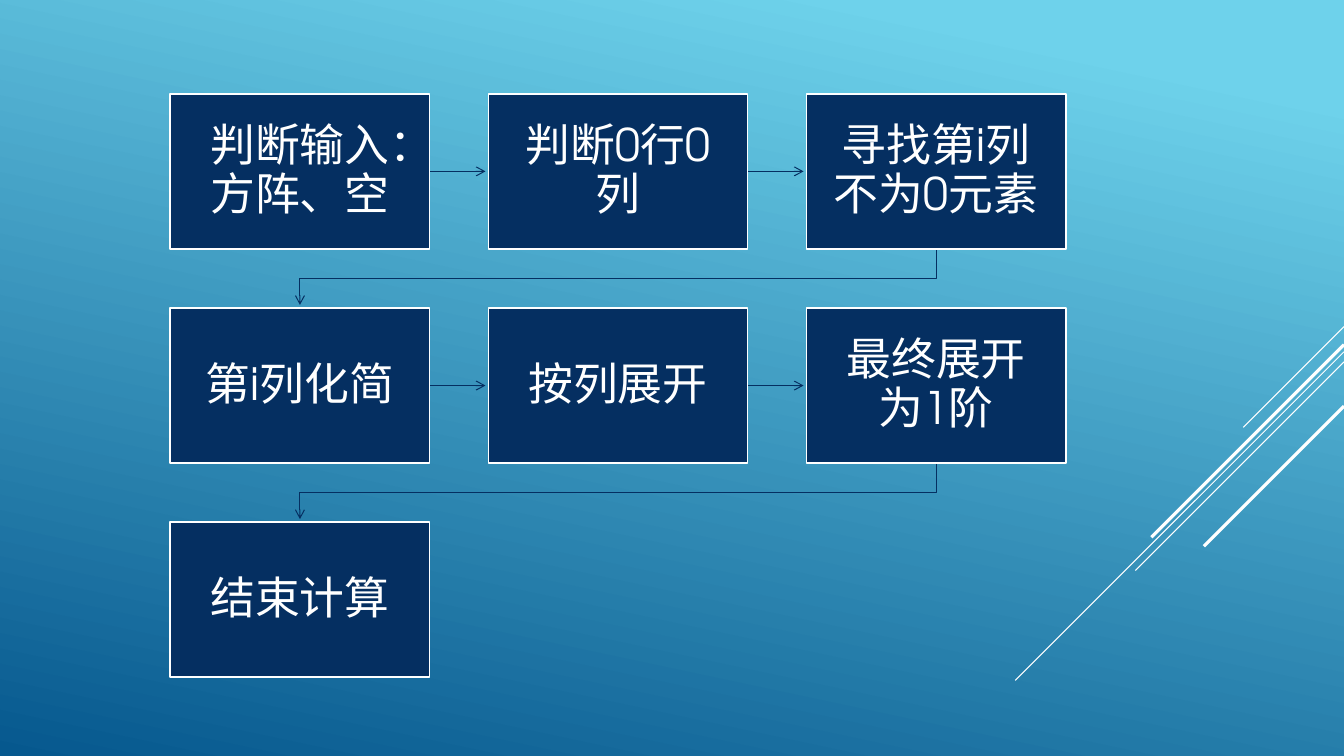
from dataclasses import dataclass
from itertools import pairwise

import pptx
import pptx.dml.color
import pptx.enum.shapes
import pptx.enum.text
import pptx.oxml
import pptx.oxml.ns
import pptx.util
from pptx.util import Inches


@dataclass(frozen=True)
class Theme:
    sky: str = "6ED2EB"
    ocean: str = "06588E"
    navy: str = "052F61"
    white: str = "FFFFFF"
    font: str = "TeX Gyre Adventor"
    text_size: float = 32
    thin: float = 0.75
    outline: float = 1.25
    thick: float = 2.25


@dataclass(frozen=True)
class Streak:
    right_y: float
    length: float
    weight: float


@dataclass(frozen=True)
class Step:
    text: str
    row: int
    column: int

    @property
    def left(self) -> float:
        return GRID_LEFT + self.column * COLUMN_PITCH

    @property
    def top(self) -> float:
        return GRID_TOP + self.row * ROW_PITCH

    @property
    def center_x(self) -> float:
        return self.left + BOX_WIDTH / 2

    @property
    def center_y(self) -> float:
        return self.top + BOX_HEIGHT / 2


THEME = Theme()
SLIDE_WIDTH, SLIDE_HEIGHT = 13.33, 7.5
GRID_LEFT, GRID_TOP = 1.69, 0.93
COLUMN_PITCH, ROW_PITCH = 3.155, 2.125
BOX_WIDTH, BOX_HEIGHT = 2.57, 1.54
BOX_INSET = 0.25
ARROW_GAP = 0.03
COLUMNS = 3

STREAKS = [
    Streak(3.24, 1.0, THEME.thin),
    Streak(3.49, 3.26, THEME.thin),
    Streak(3.59, 2.07, THEME.thin),
    Streak(3.42, 1.91, THEME.thick),
    Streak(4.03, 1.39, THEME.thick),
]
STEP_TEXTS = [
    "判断输入：方阵、空",
    "判断0行0列",
    "寻找第i列不为0元素",
    "第i列化简",
    "按列展开",
    "最终展开为1阶",
    "结束计算",
]
STEPS = [Step(text, *divmod(index, COLUMNS)) for index, text in enumerate(STEP_TEXTS)]


def color(value: str) -> pptx.dml.color.RGBColor:
    return pptx.dml.color.RGBColor.from_string(value)


def paint_background(slide) -> None:
    fill = slide.background.fill
    fill.gradient()
    fill.gradient_angle = 360 - 102
    for stop, position, value in zip(
        fill.gradient_stops, (0.1, 1), (THEME.sky, THEME.ocean)
    ):
        stop.position = position
        stop.color.rgb = color(value)


def style_line(shape, value: str, weight: float) -> None:
    shape.line.color.rgb = color(value)
    shape.line.width = pptx.util.Pt(weight)


def add_arrowhead(shape) -> None:
    outline = shape.element.spPr.find(pptx.oxml.ns.qn("a:ln"))
    outline.append(
        pptx.oxml.parse_xml(f'<a:tailEnd {pptx.oxml.ns.nsdecls("a")} type="arrow"/>')
    )


def add_line(slide, start: tuple, end: tuple, value: str, weight: float):
    connector = slide.shapes.add_connector(
        pptx.enum.shapes.MSO_CONNECTOR.STRAIGHT, *map(Inches, start + end)
    )
    style_line(connector, value, weight)
    connector.element.spPr.append(
        pptx.oxml.parse_xml(f'<a:effectLst {pptx.oxml.ns.nsdecls("a")}/>')
    )
    return connector


def add_bent_line(slide, points: list[tuple], value: str, weight: float):
    start, *bends = [tuple(map(Inches, point)) for point in points]
    builder = slide.shapes.build_freeform(*start)
    builder.add_line_segments(bends, close=False)
    shape = builder.convert_to_shape()
    shape.fill.background()
    shape.shadow.inherit = False
    style_line(shape, value, weight)
    return shape


def add_flow_arrow(slide, source: Step, target: Step) -> None:
    if source.row == target.row:
        arrow = add_line(
            slide,
            (source.left + BOX_WIDTH, source.center_y),
            (target.left - ARROW_GAP, target.center_y),
            THEME.navy,
            THEME.thin,
        )
    else:
        bottom = source.top + BOX_HEIGHT
        middle = (bottom + target.top) / 2
        arrow = add_bent_line(
            slide,
            [
                (source.center_x, bottom),
                (source.center_x, middle),
                (target.center_x, middle),
                (target.center_x, target.top - ARROW_GAP),
            ],
            THEME.navy,
            THEME.thin,
        )
    add_arrowhead(arrow)


def add_step(slide, step: Step) -> None:
    box = slide.shapes.add_shape(
        pptx.enum.shapes.MSO_SHAPE.RECTANGLE,
        *map(Inches, (step.left, step.top, BOX_WIDTH, BOX_HEIGHT)),
    )
    box.shadow.inherit = False
    box.fill.solid()
    box.fill.fore_color.rgb = color(THEME.navy)
    style_line(box, THEME.white, THEME.outline)
    frame = box.text_frame
    frame.word_wrap = True
    frame.vertical_anchor = pptx.enum.text.MSO_ANCHOR.MIDDLE
    frame.margin_left = frame.margin_right = Inches(BOX_INSET)
    frame.margin_top = frame.margin_bottom = Inches(BOX_INSET)
    paragraph = frame.paragraphs[0]
    paragraph.text = step.text
    paragraph.alignment = pptx.enum.text.PP_ALIGN.CENTER
    paragraph.line_spacing = 0.9
    paragraph.font.name = THEME.font
    paragraph.font.size = pptx.util.Pt(THEME.text_size)
    paragraph.font.color.rgb = color(THEME.white)


presentation = pptx.Presentation()
presentation.slide_width = Inches(SLIDE_WIDTH)
presentation.slide_height = Inches(SLIDE_HEIGHT)
slide = presentation.slides.add_slide(presentation.slide_layouts[6])
paint_background(slide)
for streak in STREAKS:
    end = (SLIDE_WIDTH - streak.length, streak.right_y + streak.length)
    add_line(slide, (SLIDE_WIDTH, streak.right_y), end, THEME.white, streak.weight)
for source, target in pairwise(STEPS):
    add_flow_arrow(slide, source, target)
for step in STEPS:
    add_step(slide, step)
presentation.save("out.pptx")
